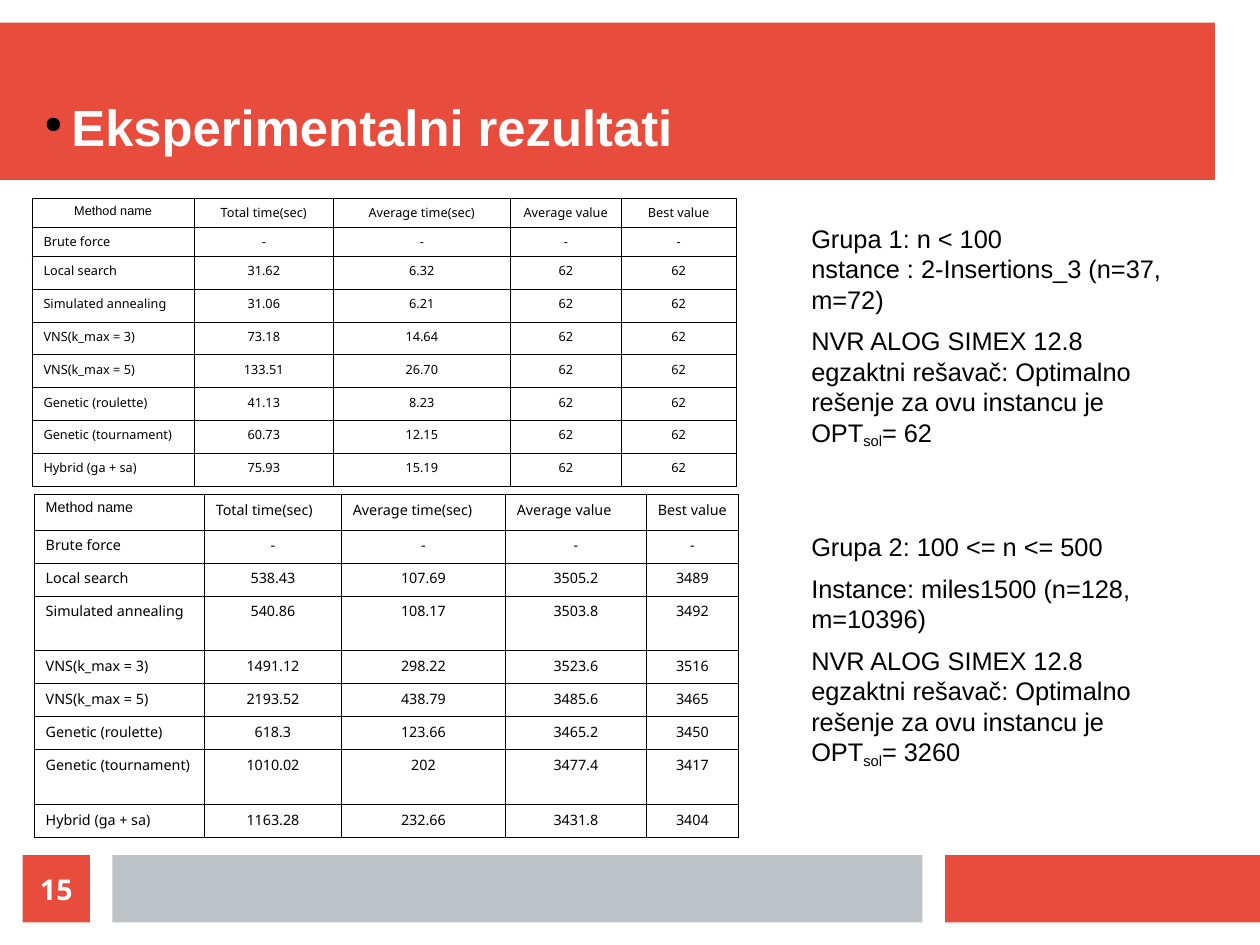
from dataclasses import dataclass

from lxml import etree
from pptx import Presentation
from pptx.dml.color import RGBColor
from pptx.enum.shapes import MSO_SHAPE
from pptx.enum.text import MSO_ANCHOR, PP_ALIGN
from pptx.oxml.ns import qn
from pptx.util import Pt

RECT = MSO_SHAPE.RECTANGLE
MIDDLE, BOTTOM = MSO_ANCHOR.MIDDLE, MSO_ANCHOR.BOTTOM
LEFT, CENTER = PP_ALIGN.LEFT, PP_ALIGN.CENTER


@dataclass(frozen=True)
class Theme:
    red: str = "E74C3C"
    gray: str = "BDC3C7"
    black: str = "000000"
    white: str = "FFFFFF"
    sans: str = "Arial"
    noto: str = "Noto Sans"
    title: int = 32
    page: int = 18
    body: int = 16
    small: int = 8
    medium: int = 9
    border: float = 0.57


THEME = Theme()

HEADS = ["Method name", "Total time(sec)", "Average time(sec)",
         "Average value", "Best value"]
METHODS = ["Brute force", "Local search", "Simulated annealing",
           "VNS(k_max = 3)", "VNS(k_max = 5)", "Genetic (roulette)",
           "Genetic (tournament)", "Hybrid (ga + sa)"]
BLANK = ["-"] * 4
FIRST = [BLANK] + [pair + ["62", "62"] for pair in (
    ["31.62", "6.32"], ["31.06", "6.21"], ["73.18", "14.64"],
    ["133.51", "26.70"], ["41.13", "8.23"], ["60.73", "12.15"],
    ["75.93", "15.19"])]
SECOND = [
    BLANK,
    ["538.43", "107.69", "3505.2", "3489"],
    ["540.86", "108.17", "3503.8", "3492"],
    ["1491.12", "298.22", "3523.6", "3516"],
    ["2193.52", "438.79", "3485.6", "3465"],
    ["618.3", "123.66", "3465.2", "3450"],
    ["1010.02", "202", "3477.4", "3417"],
    ["1163.28", "232.66", "3431.8", "3404"],
]
SOLVER = ("NVR ALOG SIMEX 12.8 egzaktni rešavač: "
          "Optimalno rešenje za ovu instancu je OPT")


def points(box):
    return [Pt(n) for n in box]


def style(font, size, color, name, bold=False):
    font.size, font.name, font.bold = Pt(size), name, bold
    font.color.rgb = RGBColor.from_string(color)


def inset(frame, side, edge):
    frame.margin_left = frame.margin_right = Pt(side)
    frame.margin_top = frame.margin_bottom = Pt(edge)
    frame.word_wrap = True


def block(slide, box, color):
    shape = slide.shapes.add_shape(RECT, *points(box))
    shape.shadow.inherit = False
    shape.fill.solid()
    shape.fill.fore_color.rgb = RGBColor.from_string(color)
    shape.line.fill.background()
    return shape


def bullet(para, size, indent):
    """Put a black dot, sized in percent, in a hanging indent."""
    props = para._p.get_or_add_pPr()
    props.set("marL", str(Pt(indent)))
    props.set("indent", str(-Pt(indent)))
    color = etree.SubElement(props, qn("a:buClr"))
    etree.SubElement(color, qn("a:srgbClr"), val=THEME.black)
    etree.SubElement(props, qn("a:buSzPct"), val=str(size * 1000))
    etree.SubElement(props, qn("a:buChar"), char="●")


def header(slide, box):
    x, y, w, h = box
    block(slide, box, THEME.red)
    text = slide.shapes.add_textbox(*points((x + 28, y + 13.7, w - 28, 70.6)))
    frame = text.text_frame
    inset(frame, 0, 0)
    frame.vertical_anchor = BOTTOM
    para = frame.paragraphs[0]
    para.text = "Eksperimentalni rezultati"
    bullet(para, 45, 17)
    style(para.font, THEME.title, THEME.white, THEME.sans, True)


def footer(slide, box):
    x, y, w, h = box
    block(slide, (x + w - 198.4, y, 198.4, h), THEME.red)
    block(slide, (x + 70.8, y, 510.2, h), THEME.gray)
    badge = block(slide, (x + 14.2, y, h, h), THEME.red)
    frame = badge.text_frame
    inset(frame, 0, 0)
    frame.vertical_anchor = MIDDLE
    para = frame.paragraphs[0]
    para.text = "15"
    para.alignment = CENTER
    style(para.font, THEME.page, THEME.white, THEME.noto, True)


def outline(cell):
    props = cell._tc.get_or_add_tcPr()
    for side in ("a:lnL", "a:lnR", "a:lnT", "a:lnB"):
        line = etree.SubElement(props, qn(side), w=str(Pt(THEME.border)))
        fill = etree.SubElement(line, qn("a:solidFill"))
        etree.SubElement(fill, qn("a:srgbClr"), val=THEME.black)


def results(slide, spot, cols, rows, data, size, align):
    """Draw one table at spot; align sets its heading row."""
    box = (*spot, sum(cols), sum(rows))
    frame = slide.shapes.add_table(len(rows), len(cols), *points(box))
    table = frame.table
    table.first_row = table.horz_banding = False
    for col, width in zip(table.columns, cols):
        col.width = Pt(width)
    lines = [HEADS] + [[name] + vals for name, vals in zip(METHODS, data)]
    for r, line in enumerate(lines):
        table.rows[r].height = Pt(rows[r])
        for c, text in enumerate(line):
            cell = table.cell(r, c)
            outline(cell)
            cell.fill.background()
            cell.margin_left = cell.margin_right = Pt(7.2)
            cell.margin_top = cell.margin_bottom = Pt(3.6)
            para = cell.text_frame.paragraphs[0]
            para.text = text
            para.alignment = align if r == 0 else CENTER if c else LEFT
            name = THEME.noto if r or c else THEME.sans
            style(para.font, size, THEME.black, name)


def notes(slide, box, paras, best):
    """Write the instance paragraphs, then the solver's optimum."""
    frame = slide.shapes.add_textbox(*points(box)).text_frame
    inset(frame, 7.2, 3.6)
    for i, text in enumerate(paras + [SOLVER]):
        para = frame.add_paragraph() if i else frame.paragraphs[0]
        para.text = text
        para.space_after = Pt(7)
        style(para.font, THEME.body, THEME.black, THEME.sans)
    low = para.add_run()
    low.text = "sol"
    low._r.get_or_add_rPr().set("baseline", "-17000")
    para.add_run().text = f"= {best}"


def main():
    deck = Presentation()
    deck.slide_width, deck.slide_height = Pt(793.7), Pt(595.3)
    slide = deck.slides.add_slide(deck.slide_layouts[6])
    header(slide, (0, 14.2, 765.4, 99.2))
    results(slide, (20.2, 125), [102.2, 87.6, 111.5, 69.9, 72.4],
            [18.2] * 2 + [20.7] * 7, FIRST, THEME.small, CENTER)
    row, tall = 20.8, 34.4
    results(slide, (21.6, 311.4), [107.2, 86.3, 103.3, 88.8, 58],
            [22.5, row, row, tall, row, row, row, tall, row],
            SECOND, THEME.medium, LEFT)
    notes(slide, (504, 136.8, 244.8, 121.7),
          ["Grupa 1: n < 100\nnstance : 2-Insertions_3 (n=37, m=72)"], 62)
    notes(slide, (504, 331.2, 223.2, 146.9),
          ["Grupa 2: 100 <= n <= 500", "Instance: miles1500 (n=128, m=10396)"],
          3260)
    footer(slide, (0, 538.6, 793.7, 42.5))
    deck.save("out.pptx")


if __name__ == "__main__":
    main()
